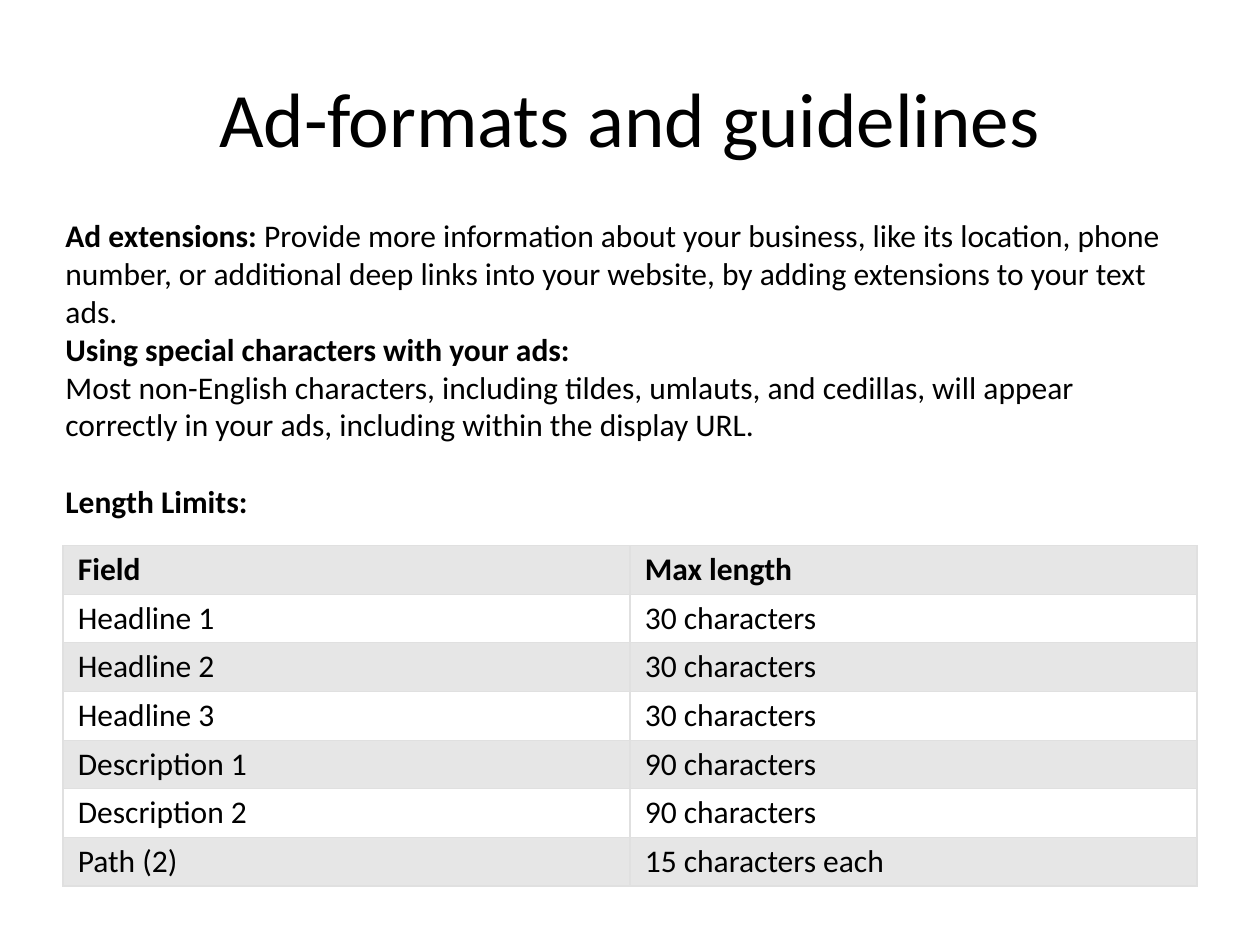
from dataclasses import dataclass

from lxml.etree import SubElement
from pptx import Presentation
from pptx.dml.color import RGBColor
from pptx.enum.text import MSO_ANCHOR as Anchor, PP_ALIGN as Align
from pptx.oxml.ns import qn
from pptx.util import Cm, Pt

FONT = "Calibri"
BLACK, WHITE, BAND, GRID = "000000", "FFFFFF", "E6E6E6", "E0E0E0"


@dataclass
class Passage:
    heading: str = ""
    body: str = ""
    space_before: float = 0


@dataclass
class Limit:
    field: str
    max_length: str


PASSAGES = [
    Passage(
        "Ad extensions: ",
        "Provide more information about your business, like its location, "
        "phone number, or additional deep links into your website, by adding "
        "extensions to your text ads.",
    ),
    Passage("Using special characters with your ads:"),
    Passage(
        body="Most non-English characters, including tildes, umlauts, and "
        "cedillas, will appear correctly in your ads, including within the "
        "display URL."
    ),
    Passage("Length Limits:", space_before=22),
]

LIMITS = [
    Limit("Field", "Max length"),
    *[Limit(f"Headline {number}", "30 characters") for number in (1, 2, 3)],
    *[Limit(f"Description {number}", "90 characters") for number in (1, 2)],
    Limit("Path (2)", "15 characters each"),
]


def color(hex_code: str) -> RGBColor:
    return RGBColor.from_string(hex_code)


def write(paragraph, text: str, *, size: float = 18, bold: bool = False,
          hex_code: str = BLACK, align=Align.LEFT) -> None:
    paragraph.alignment = align
    run = paragraph.add_run()
    run.text = text
    run.font.name = FONT
    run.font.size = Pt(size)
    run.font.bold = bold
    run.font.color.rgb = color(hex_code)


def draw_title(slide, text: str) -> None:
    title = slide.shapes.title
    title.left, title.top = Cm(1.27), Cm(0.76)
    title.width, title.height = Cm(22.86), Cm(3.18)
    title.text_frame.vertical_anchor = Anchor.MIDDLE
    write(title.text_frame.paragraphs[0], text, size=44, align=Align.CENTER)


def draw_passages(slide, passages: list[Passage]) -> None:
    guidelines = slide.shapes.add_textbox(Cm(1.07), Cm(4.24), Cm(23.06), Cm(6.4))
    frame = guidelines.text_frame
    frame.word_wrap = True
    for index, passage in enumerate(passages):
        paragraph = frame.add_paragraph() if index else frame.paragraphs[0]
        paragraph.space_before = Pt(passage.space_before)
        if passage.heading:
            write(paragraph, passage.heading, bold=True)
        if passage.body:
            write(paragraph, passage.body)


def add_borders(cell, hex_code: str, width: float) -> None:
    properties = cell._tc.get_or_add_tcPr()
    for index, side in enumerate(("a:lnL", "a:lnR", "a:lnT", "a:lnB")):
        line = SubElement(properties, qn(side), w=str(Pt(width)))
        fill = SubElement(line, qn("a:solidFill"))
        SubElement(fill, qn("a:srgbClr"), val=hex_code)
        properties.insert(index, line)


def draw_limits(slide, limits: list[Limit]) -> None:
    row_height = Cm(0.98)
    table = slide.shapes.add_table(
        len(limits), 2, Cm(1.27), Cm(11), Cm(22.86), row_height * len(limits)
    ).table
    for row, limit in enumerate(limits):
        table.rows[row].height = row_height
        for column, text in enumerate((limit.field, limit.max_length)):
            cell = table.cell(row, column)
            cell.margin_left = cell.margin_right = Cm(0.3)
            cell.margin_top = cell.margin_bottom = Cm(0.1)
            cell.fill.solid()
            cell.fill.fore_color.rgb = color(WHITE if row % 2 else BAND)
            add_borders(cell, GRID, 0.75)
            write(cell.text_frame.paragraphs[0], text, bold=row == 0)


def main() -> None:
    presentation = Presentation()
    presentation.slide_width, presentation.slide_height = Cm(25.4), Cm(19.05)
    slide = presentation.slides.add_slide(presentation.slide_layouts[5])
    draw_limits(slide, LIMITS)
    draw_passages(slide, PASSAGES)
    draw_title(slide, "Ad-formats and guidelines")
    presentation.save("out.pptx")


if __name__ == "__main__":
    main()
